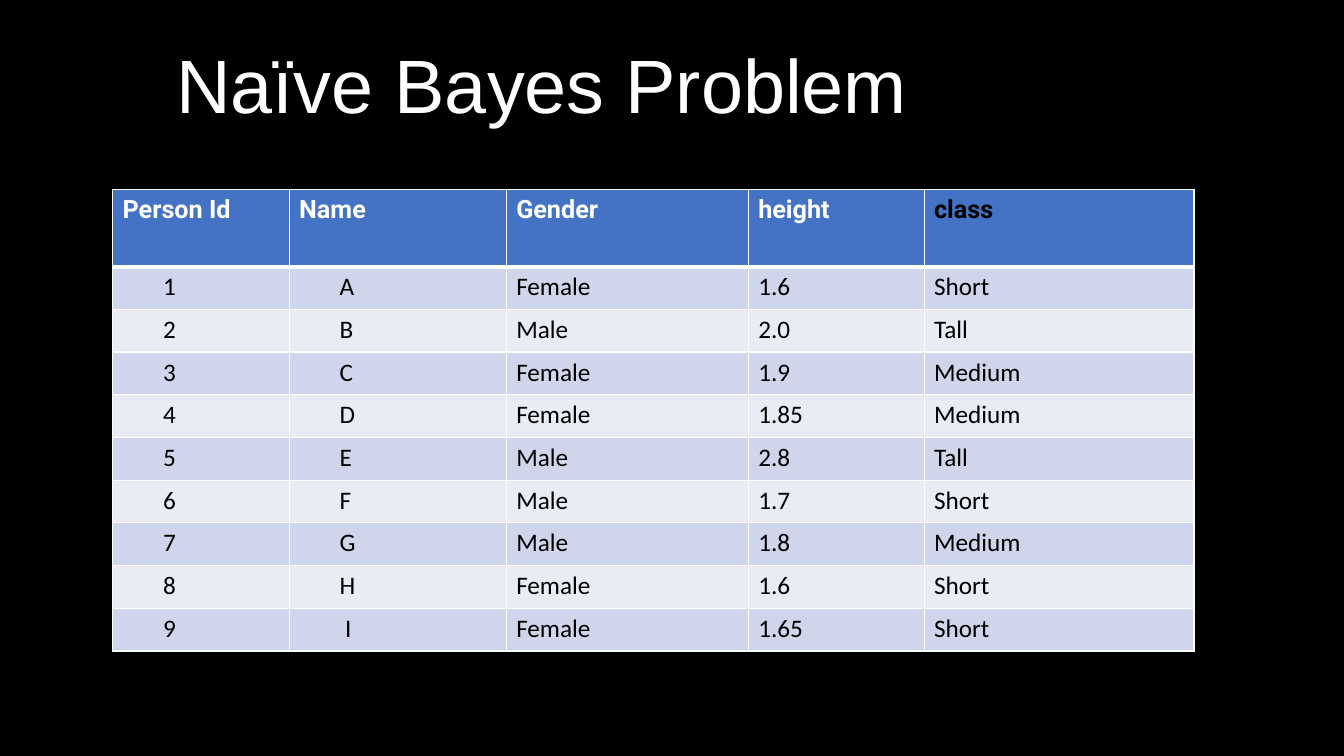
from lxml.etree import SubElement
from pptx import Presentation
from pptx.dml.color import RGBColor
from pptx.enum.text import MSO_ANCHOR, MSO_AUTO_SIZE, PP_ALIGN
from pptx.oxml.ns import qn
from pptx.util import Cm, Pt

COLOURS = {
    "background": "000000",
    "light": "FFFFFF",
    "dark": "000000",
    "header": "4472C4",
    "odd": "CFD5EA",
    "even": "E9EBF5",
}
TITLE_FORMAT = {"name": "Arial", "size": Pt(54), "bold": False}
HEADER_FORMAT = {"name": "Roboto", "size": Pt(18), "bold": True}
BODY_FORMAT = {"name": "Calibri", "size": Pt(18), "bold": False}

HEADINGS = ["Person Id", "Name", "Gender", "height", "class"]
PEOPLE = [
    ("1", "A", "Female", "1.6", "Short"),
    ("2", "B", "Male", "2.0", "Tall"),
    ("3", "C", "Female", "1.9", "Medium"),
    ("4", "D", "Female", "1.85", "Medium"),
    ("5", "E", "Male", "2.8", "Tall"),
    ("6", "F", "Male", "1.7", "Short"),
    ("7", "G", "Male", "1.8", "Medium"),
    ("8", "H", "Female", "1.6", "Short"),
    ("9", "I", "Female", "1.65", "Short"),
]
COLUMN_SHARES = [4.45, 5.47, 6.1, 4.43, 6.8]
HEADER_HEIGHT = Cm(1.94)
CELL_MARGIN = 0.25
INDENTED_MARGIN = 1.27


def colour(name):
    return RGBColor.from_string(COLOURS[name])


def write(frame, text, text_format, colour_name):
    para = frame.paragraphs[0]
    para.alignment = PP_ALIGN.LEFT
    span = para.add_run()
    span.text = text
    for attribute, value in text_format.items():
        setattr(span.font, attribute, value)
    span.font.color.rgb = colour(colour_name)


def add_borders(cell, top, bottom):
    """Draw light borders; top and bottom are widths in points."""
    properties = cell._tc.get_or_add_tcPr()
    for side, width in {"lnL": 1, "lnR": 1, "lnT": top, "lnB": bottom}.items():
        line = SubElement(properties, qn(f"a:{side}"), w=str(Pt(width)))
        fill = SubElement(line, qn("a:solidFill"))
        SubElement(fill, qn("a:srgbClr"), val=COLOURS["light"])


def add_title(page, left, top, width, height):
    box = page.shapes.title
    box.left, box.top, box.width, box.height = left, top, width, height
    frame = box.text_frame
    frame.word_wrap = True
    frame.auto_size = MSO_AUTO_SIZE.NONE
    frame.vertical_anchor = MSO_ANCHOR.BOTTOM
    write(frame, "Naïve Bayes Problem", TITLE_FORMAT, "light")


def add_people_table(page, left, top, width, height):
    rows = [HEADINGS, *PEOPLE]
    table = page.shapes.add_table(
        len(rows), len(HEADINGS), left, top, width, height).table
    for column, share in zip(table.columns, COLUMN_SHARES):
        column.width = round(width * share / sum(COLUMN_SHARES))
    for row in table.rows:
        row.height = (height - HEADER_HEIGHT) // len(PEOPLE)
    table.rows[0].height = HEADER_HEIGHT

    for row_index, values in enumerate(rows):
        is_header = row_index == 0
        band = "header" if is_header else "odd" if row_index % 2 else "even"
        for column_index, text in enumerate(values):
            cell = table.cell(row_index, column_index)
            indented = not is_header and column_index < 2
            margin = INDENTED_MARGIN if indented else CELL_MARGIN
            if text == "I":
                margin += 0.14
            cell.margin_left = Cm(margin)
            add_borders(cell, 3 if row_index == 1 else 1, 3 if is_header else 1)
            cell.fill.solid()
            cell.fill.fore_color.rgb = colour(band)
            write(cell.text_frame, text,
                  HEADER_FORMAT if is_header else BODY_FORMAT,
                  "light" if is_header and text != "class" else "dark")


def main():
    deck = Presentation()
    deck.slide_width, deck.slide_height = Cm(33.87), Cm(19.05)
    page = deck.slides.add_slide(deck.slide_layouts.get_by_name("Title Only"))
    page.background.fill.solid()
    page.background.fill.fore_color.rgb = colour("background")
    add_title(page, Cm(4.19), Cm(0.81), Cm(22.1), Cm(2.57))
    add_people_table(page, Cm(2.84), Cm(4.78), Cm(27.25), Cm(11.63))
    deck.save("out.pptx")


if __name__ == "__main__":
    main()
